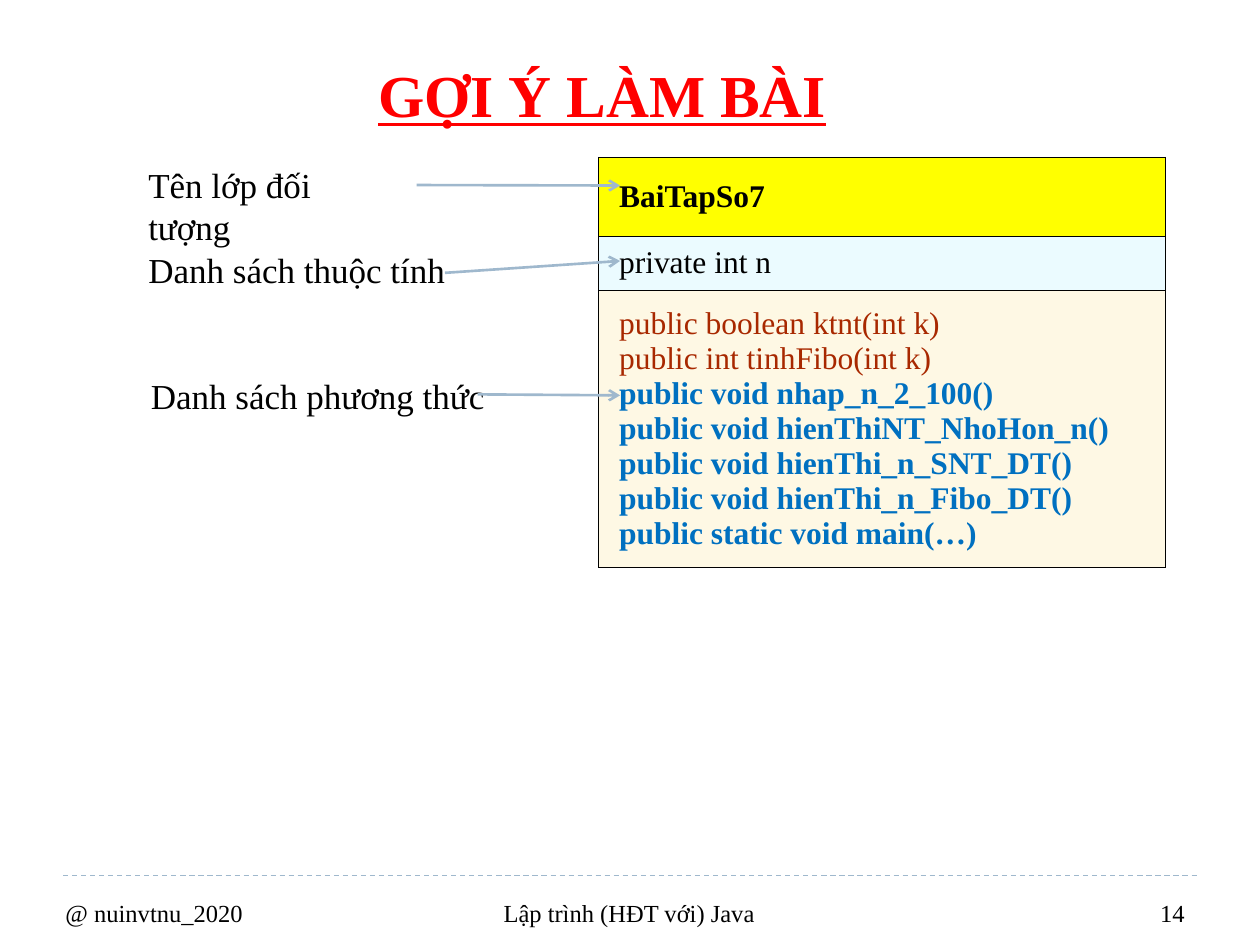
from dataclasses import dataclass

from lxml import etree
from pptx import Presentation
from pptx.dml.color import RGBColor
from pptx.enum.dml import MSO_LINE
from pptx.enum.shapes import MSO_CONNECTOR
from pptx.enum.text import MSO_ANCHOR, PP_ALIGN
from pptx.oxml.ns import qn
from pptx.util import Cm, Pt

LEFT, CENTER, RIGHT = PP_ALIGN.LEFT, PP_ALIGN.CENTER, PP_ALIGN.RIGHT
TOP, MIDDLE, BOTTOM = MSO_ANCHOR.TOP, MSO_ANCHOR.MIDDLE, MSO_ANCHOR.BOTTOM
DASH = MSO_LINE.DASH
STRAIGHT = MSO_CONNECTOR.STRAIGHT


@dataclass(frozen=True)
class Theme:
    font: str = "Times New Roman"
    ink: str = "000000"
    title: str = "FF0000"
    line: str = "9FB8CD"
    helper: str = "A82800"
    action: str = "0070C0"
    name_fill: str = "FFFF00"
    field_fill: str = "EBFBFF"
    method_fill: str = "FEF8E4"
    title_size: int = 34
    label_size: int = 20
    code_size: int = 18
    foot_size: int = 14


THEME = Theme()


def write(frame, text, size, color=THEME.ink, bold=False, underline=False,
          align=LEFT, more=False):
    """Fill the first paragraph, or add one when more is set."""
    para = frame.add_paragraph() if more else frame.paragraphs[0]
    para.alignment = align
    run = para.add_run()
    run.text = text
    font = run.font
    font.name, font.size = THEME.font, Pt(size)
    font.bold, font.underline = bold, underline
    font.color.rgb = RGBColor.from_string(color)


def border(cell, color, width):
    props = cell._tc.get_or_add_tcPr()
    for place, side in enumerate(("lnL", "lnR", "lnT", "lnB")):
        edge = etree.Element(qn(f"a:{side}"), w=str(Pt(width)))
        fill = etree.SubElement(edge, qn("a:solidFill"))
        etree.SubElement(fill, qn("a:srgbClr"), val=color)
        props.insert(place, edge)


class Page:
    def __init__(self, deck, theme):
        self.theme = theme
        self.shapes = deck.slides.add_slide(deck.slide_layouts[6]).shapes

    def text(self, box, text, size, anchor=TOP, wrap=True, **style):
        frame = self.shapes.add_textbox(*map(Cm, box)).text_frame
        frame.word_wrap = wrap
        frame.vertical_anchor = anchor
        write(frame, text, size, **style)

    def line(self, start, end, width, dash=None, arrow=False):
        link = self.shapes.add_connector(STRAIGHT, *map(Cm, start + end))
        link.line.color.rgb = RGBColor.from_string(self.theme.line)
        link.line.width = Pt(width)
        if dash:
            link.line.dash_style = dash
        if arrow:
            etree.SubElement(link.line._get_or_add_ln(), qn("a:tailEnd"),
                             type="arrow")
        etree.SubElement(link._element.spPr, qn("a:effectLst"))

    def table(self, box, rows):
        """Each row is (height, fill, [(text, colour, bold), ...])."""
        grid = self.shapes.add_table(len(rows), 1, *map(Cm, box)).table
        for i, (height, fill, lines) in enumerate(rows):
            grid.rows[i].height = Cm(height)
            cell = grid.cell(i, 0)
            cell.fill.solid()
            cell.fill.fore_color.rgb = RGBColor.from_string(fill)
            cell.vertical_anchor = MIDDLE
            cell.margin_left = Cm(0.41)
            border(cell, self.theme.ink, 0.45)
            for j, (text, color, bold) in enumerate(lines):
                write(cell.text_frame, text, self.theme.code_size,
                      color=color, bold=bold, more=j > 0)


def main():
    deck = Presentation()
    deck.slide_width, deck.slide_height = Cm(25.4), Cm(19.05)
    page = Page(deck, THEME)

    page.line((1.27, 17.65), (24.13, 17.65), 0.75, dash=DASH)
    for left, width, text, align in (
        (1.07, 5.28, "@ nuinvtnu_2020", LEFT),
        (7.82, 9.73, "Lập trình (HĐT với) Java", CENTER),
        (18.85, 5.28, "14", RIGHT),
    ):
        page.text((left, 17.98, width, 0.84), text, THEME.foot_size,
                  align=align)

    page.text((1.32, 0.84, 21.64, 1.9), "GỢI Ý LÀM BÀI", THEME.title_size,
              anchor=BOTTOM, color=THEME.title, bold=True, underline=True,
              align=CENTER)

    helpers = ("public boolean ktnt(int k)", "public int tinhFibo(int k)")
    actions = (
        "public void nhap_n_2_100()",
        "public void hienThiNT_NhoHon_n()",
        "public void hienThi_n_SNT_DT()",
        "public void hienThi_n_Fibo_DT()",
        "public static void main(…)",
    )
    methods = [(text, THEME.helper, False) for text in helpers]
    methods += [(text, THEME.action, True) for text in actions]
    page.table((12.07, 3.17, 11.43, 8.27), (
        (1.59, THEME.name_fill, [("BaiTapSo7", THEME.ink, True)]),
        (1.09, THEME.field_fill, [("private int n", THEME.ink, False)]),
        (5.59, THEME.method_fill, methods),
    ))

    tip = 12.5
    for left, top, width, text, start, end in (
        (2.74, 3.17, 5.61, "Tên lớp đối tượng", (8.4, 3.73), 3.74),
        (2.74, 4.88, 6.5, "Danh sách thuộc tính", (8.97, 5.5), 5.26),
        (2.79, 7.42, 7.24, "Danh sách phương thức", (9.63, 7.95), 7.97),
    ):
        page.text((left, top, width, 1.11), text, THEME.label_size,
                  wrap=False)
        page.line(start, (tip, end), 1.5, arrow=True)

    deck.save("out.pptx")


if __name__ == "__main__":
    main()
